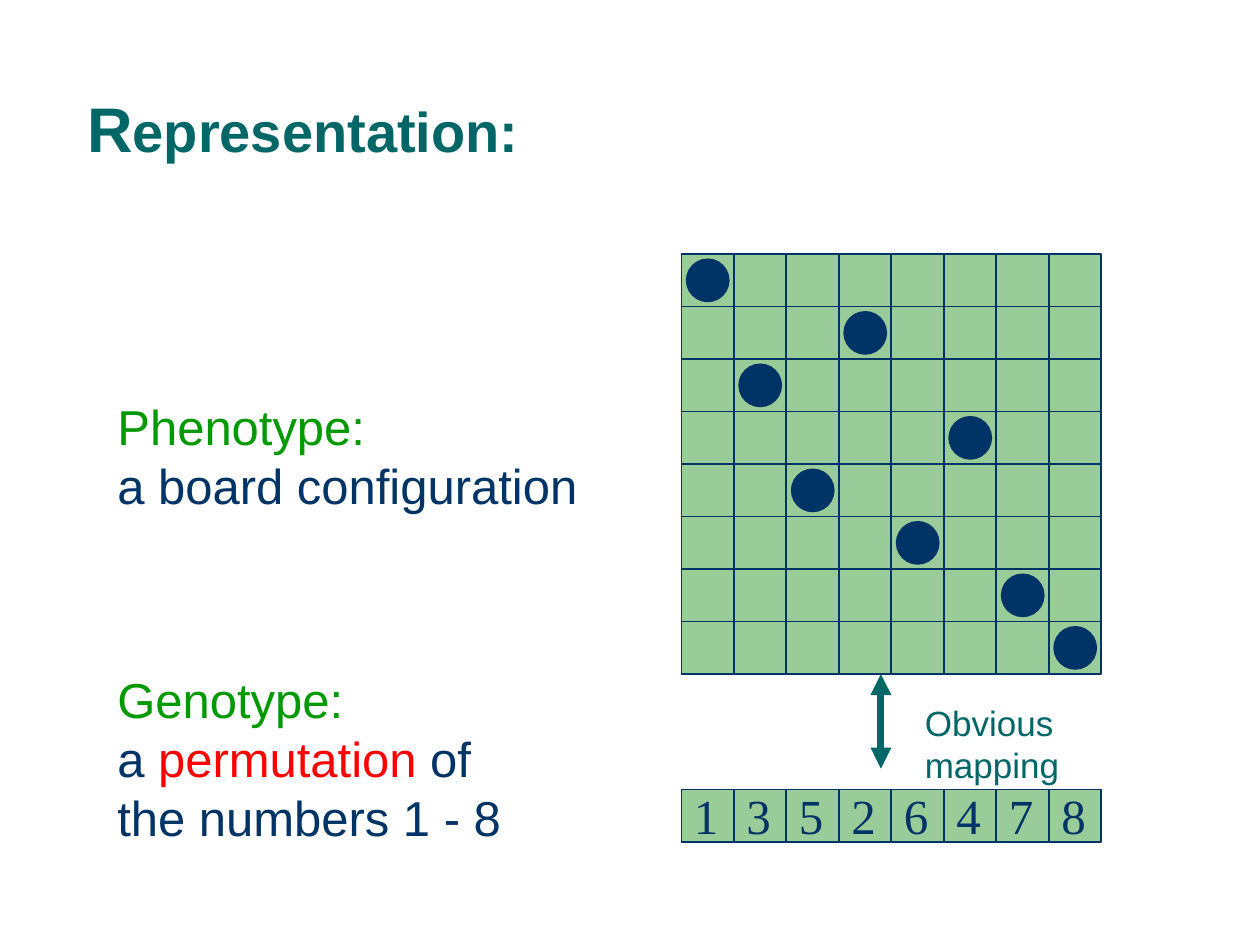
from dataclasses import dataclass
from typing import NamedTuple

from lxml import etree
from pptx import Presentation
from pptx.dml.color import RGBColor
from pptx.enum.shapes import MSO_CONNECTOR, MSO_SHAPE
from pptx.enum.text import MSO_ANCHOR, MSO_AUTO_SIZE, PP_ALIGN
from pptx.oxml.ns import qn
from pptx.util import Pt

RECT, OVAL = MSO_SHAPE.RECTANGLE, MSO_SHAPE.OVAL
LEFT, CENTER = PP_ALIGN.LEFT, PP_ALIGN.CENTER
PX = 7620  # EMU per px, 120 px to the inch


@dataclass(frozen=True)
class Theme:
    navy: str = "003366"
    teal: str = "006666"
    green: str = "009900"
    red: str = "FF0000"
    cell: str = "99CC99"
    sans: str = "Arial"
    serif: str = "Times New Roman"
    cap: int = 36
    title: int = 32
    body: int = 28
    note: int = 20


class Box(NamedTuple):
    x: int
    y: int
    w: int
    h: int


class Run(NamedTuple):
    text: str
    color: str
    size: int


class Label(NamedTuple):
    box: Box
    lines: list[list[Run]]


THEME = Theme()
GENES = (1, 3, 5, 2, 6, 4, 7, 8)
CELL, DISC = 50, 40
BOARD_X, BOARD_Y, GENE_Y = 649, 242, 752
ARROW_X, ARROW_END = 839, 732


def emu(box: Box) -> list[int]:
    return [n * PX for n in box]


def write(frame, lines: list[list[Run]], *, font: str = THEME.sans,
          bold: bool = False, align=LEFT, space: float = 1.0) -> None:
    for i, runs in enumerate(lines):
        para = frame.paragraphs[0] if i == 0 else frame.add_paragraph()
        para.alignment, para.line_spacing = align, space
        for item in runs:
            run = para.add_run()
            run.text = item.text
            run.font.name, run.font.bold = font, bold
            run.font.size = Pt(item.size)
            run.font.color.rgb = RGBColor.from_string(item.color)


def add_text(slide, label: Label, **style) -> None:
    frame = slide.shapes.add_textbox(*emu(label.box)).text_frame
    frame.word_wrap = False
    frame.auto_size = MSO_AUTO_SIZE.SHAPE_TO_FIT_TEXT
    write(frame, label.lines, **style)


def add_tile(slide, kind, box: Box, fill: str) -> None:
    tile = slide.shapes.add_shape(kind, *emu(box))
    tile.shadow.inherit = False
    tile.fill.solid()
    tile.fill.fore_color.rgb = RGBColor.from_string(fill)
    tile.line.color.rgb = RGBColor.from_string(THEME.navy)
    tile.line.width = Pt(1)


def add_cells(slide, top: int, rows: int) -> None:
    for row in range(rows):
        for col in range(len(GENES)):
            box = Box(BOARD_X + col * CELL, top + row * CELL, CELL, CELL)
            add_tile(slide, RECT, box, THEME.cell)


def add_queens(slide) -> None:
    pad = (CELL - DISC) // 2
    for col, row in enumerate(GENES):
        box = Box(BOARD_X + col * CELL + pad,
                  BOARD_Y + (row - 1) * CELL + pad, DISC, DISC)
        add_tile(slide, OVAL, box, THEME.navy)


def add_genes(slide) -> None:
    add_cells(slide, GENE_Y, 1)
    for col, gene in enumerate(GENES):
        box = Box(BOARD_X + col * CELL, GENE_Y - 10, 47, 67)
        run = Run(str(gene), THEME.navy, THEME.body)
        add_text(slide, Label(box, [[run]]), font=THEME.serif, align=CENTER)


def add_arrow(slide, x: int, top: int, end: int) -> None:
    """Draw a vertical line with a head at both ends."""
    arrow = slide.shapes.add_connector(
        MSO_CONNECTOR.STRAIGHT, x * PX, top * PX, x * PX, end * PX)
    arrow.line.color.rgb = RGBColor.from_string(THEME.teal)
    arrow.line.width = Pt(4)
    line = arrow.line._get_or_add_ln()
    for tag in ("a:headEnd", "a:tailEnd"):
        etree.SubElement(line, qn(tag), type="triangle")
    etree.SubElement(arrow._element.spPr, qn("a:effectLst"))


def add_title(slide) -> None:
    title = slide.shapes.title
    title.left, title.top, title.width, title.height = emu(
        Box(71, 53, 1105, 100))
    frame = title.text_frame
    frame.auto_size = MSO_AUTO_SIZE.NONE
    frame.vertical_anchor = MSO_ANCHOR.MIDDLE
    runs = [Run("R", THEME.teal, THEME.cap),
            Run("epresentation:", THEME.teal, THEME.title)]
    write(frame, [runs], bold=True, space=1.5)


def main() -> None:
    deck = Presentation()
    deck.slide_width, deck.slide_height = 1200 * PX, 900 * PX
    slide = deck.slides.add_slide(deck.slide_layouts[5])
    head, size = THEME.green, THEME.body
    labels = [
        Label(Box(100, 632, 389, 180), [
            [Run("Genotype:", head, size)],
            [Run("a ", THEME.navy, size),
             Run("permutation", THEME.red, size),
             Run(" of", THEME.navy, size)],
            [Run("the numbers 1 - 8", THEME.navy, size)]]),
        Label(Box(100, 372, 474, 124), [
            [Run("Phenotype:", head, size)],
            [Run("a board configuration", THEME.navy, size)]]),
        Label(Box(869, 662, 283, 53), [
            [Run("Obvious mapping", THEME.teal, THEME.note)]]),
    ]
    add_title(slide)
    add_genes(slide)
    add_cells(slide, BOARD_Y, len(GENES))
    add_queens(slide)
    add_arrow(slide, ARROW_X, BOARD_Y + len(GENES) * CELL, ARROW_END)
    for label in labels:
        add_text(slide, label)
    deck.save("out.pptx")


if __name__ == "__main__":
    main()
